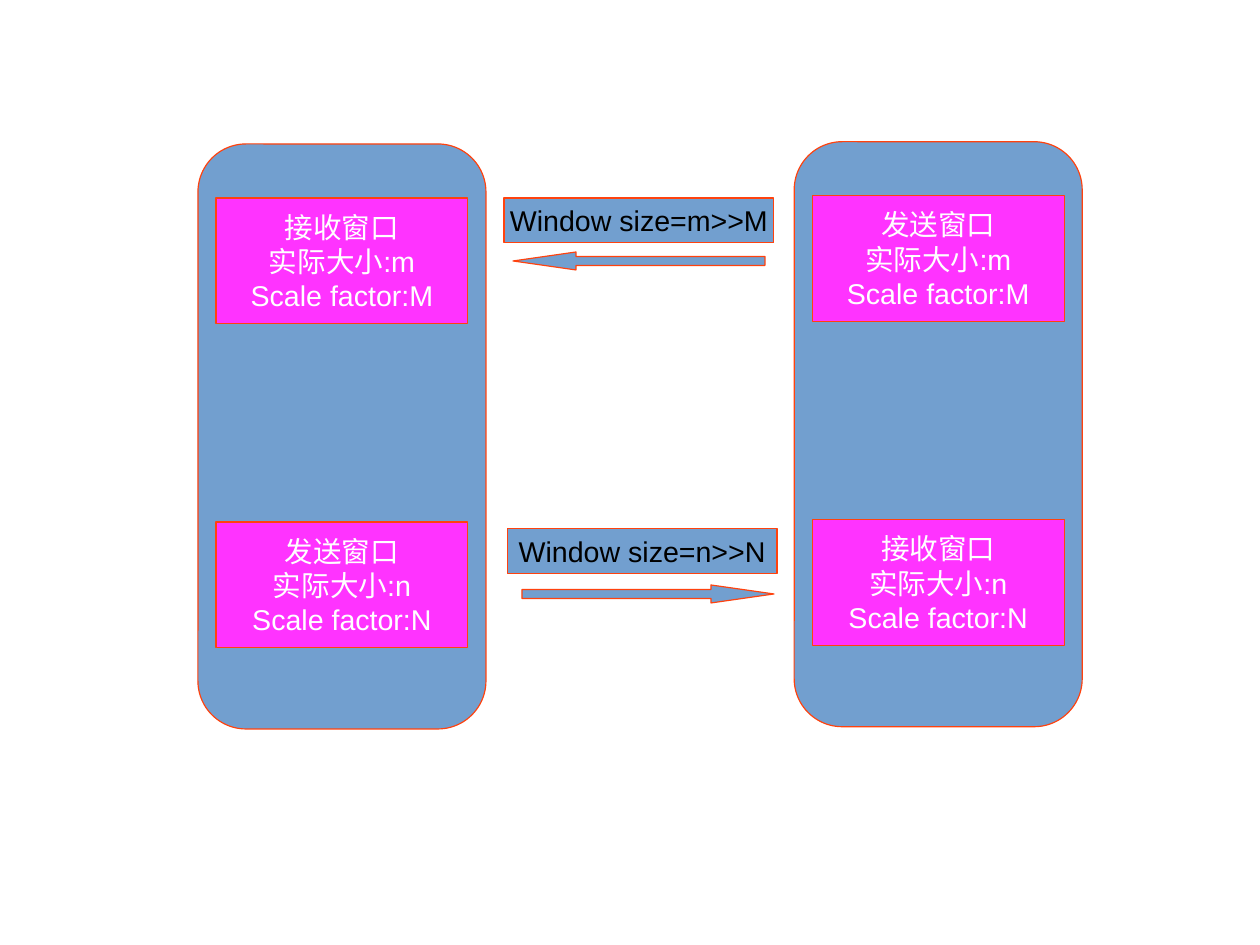
from pptx import Presentation
from pptx.dml.color import RGBColor
from pptx.enum.shapes import MSO_SHAPE
from pptx.enum.text import MSO_ANCHOR, PP_ALIGN
from pptx.util import Cm, Pt

RECT = MSO_SHAPE.RECTANGLE
HOST = MSO_SHAPE.FLOWCHART_ALTERNATE_PROCESS
LEFT, RIGHT = MSO_SHAPE.LEFT_ARROW, MSO_SHAPE.RIGHT_ARROW
MIDDLE, CENTER = MSO_ANCHOR.MIDDLE, PP_ALIGN.CENTER

COLORS = {"host": "729FCF", "window": "FF33FF", "edge": "FF420E",
          "light": "FFFFFF", "dark": "000000"}
FONT, FONT_SIZE = "Arial", 18
SLIDE_SIZE = (28, 21)

HOSTS = [
    ((4.4, 3.2), [("接收窗口", "m"), ("发送窗口", "n")]),
    ((17.65, 3.15), [("发送窗口", "m"), ("接收窗口", "n")]),
]
ARROWS = [
    (RIGHT, (11.6, 13)),
    (LEFT, (11.4, 5.6)),
]
MESSAGES = [
    ("Window size=m>>M", (11.2, 4.4)),
    ("Window size=n>>N", (11.27, 11.75)),
]
HOST_SIZE = (6.4, 13)
WINDOW_SIZE = (5.6, 2.8)
WINDOW_INSET = (HOST_SIZE[0] - WINDOW_SIZE[0]) / 2
WINDOW_TOP, WINDOW_PITCH = 1.2, 7.2
MESSAGE_SIZE = (6, 1)
ARROW_SIZE = (5.6, 0.4)
ARROW_SHAFT, ARROW_HEAD = 0.5, 3.5


def add_block(parent, kind, corner, size, fill):
    block = parent.add_shape(kind, *map(Cm, corner + size))
    block.shadow.inherit = False
    block.fill.solid()
    block.fill.fore_color.rgb = RGBColor.from_string(COLORS[fill])
    block.line.color.rgb = RGBColor.from_string(COLORS["edge"])
    block.line.width = Pt(0)
    return block


def write(block, lines, color):
    frame = block.text_frame
    frame.word_wrap = False
    frame.vertical_anchor = MIDDLE
    for index, line in enumerate(lines):
        paragraph = frame.add_paragraph() if index else frame.paragraphs[0]
        paragraph.alignment = CENTER
        run = paragraph.add_run()
        run.text = line
        run.font.name = FONT
        run.font.size = Pt(FONT_SIZE)
        run.font.color.rgb = RGBColor.from_string(COLORS[color])


def add_host(slide, corner, windows):
    left, top = corner
    group = slide.shapes.add_group_shape().shapes
    add_block(group, HOST, corner, HOST_SIZE, "host")
    for row, (role, size) in enumerate(windows):
        place = (left + WINDOW_INSET, top + WINDOW_TOP + row * WINDOW_PITCH)
        window = add_block(group, RECT, place, WINDOW_SIZE, "window")
        lines = [role, f"实际大小:{size}", f"Scale factor:{size.upper()}"]
        write(window, lines, "light")


def add_arrow(slide, direction, corner):
    arrow = add_block(slide.shapes, direction, corner, ARROW_SIZE, "host")
    arrow.adjustments[0] = ARROW_SHAFT
    arrow.adjustments[1] = ARROW_HEAD


def add_message(slide, label, corner):
    message = add_block(slide.shapes, RECT, corner, MESSAGE_SIZE, "host")
    write(message, [label], "dark")


def main():
    deck = Presentation()
    deck.slide_width, deck.slide_height = map(Cm, SLIDE_SIZE)
    slide = deck.slides.add_slide(deck.slide_layouts[6])
    for host in HOSTS:
        add_host(slide, *host)
    for arrow in ARROWS:
        add_arrow(slide, *arrow)
    for message in MESSAGES:
        add_message(slide, *message)
    deck.save("out.pptx")


if __name__ == "__main__":
    main()
